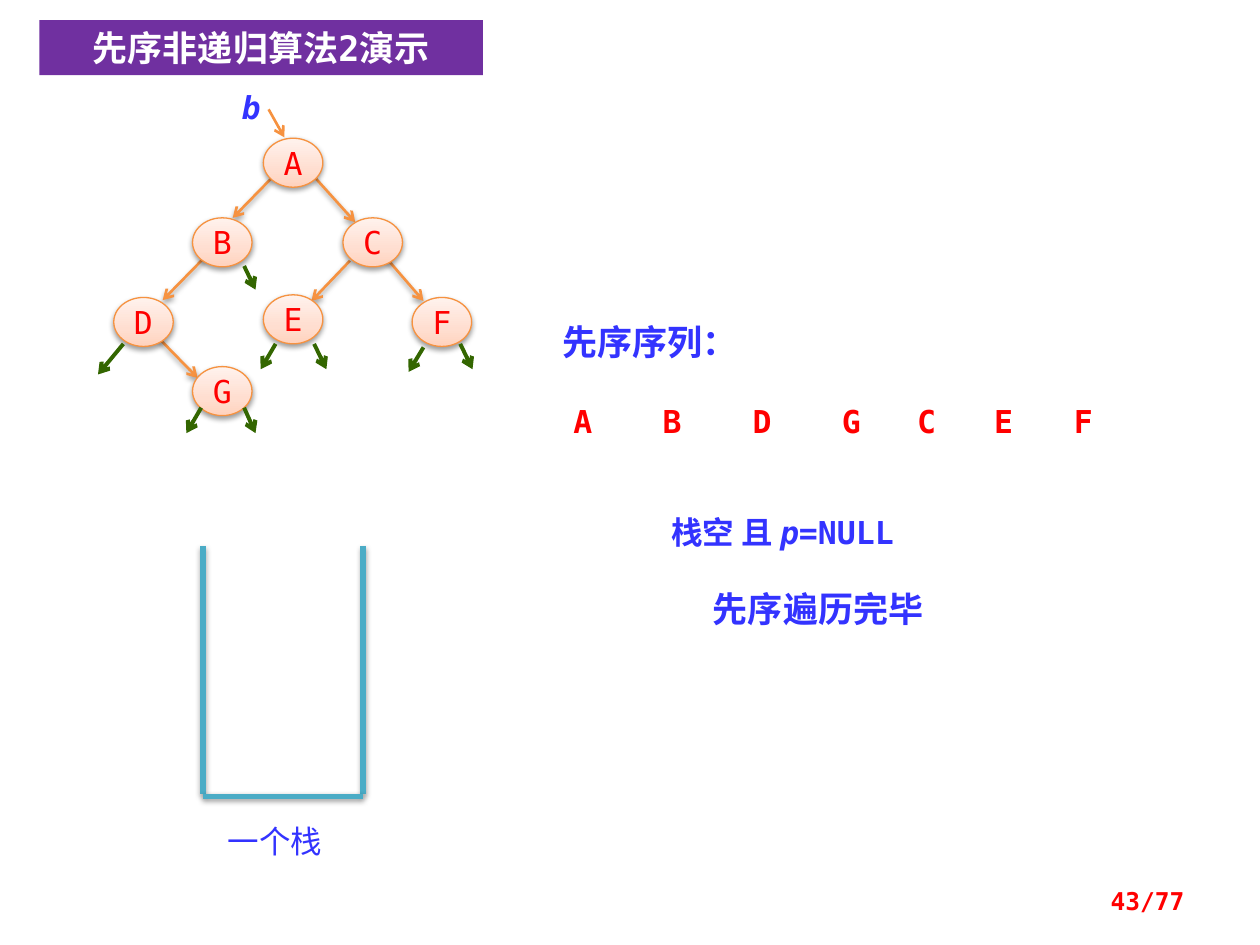
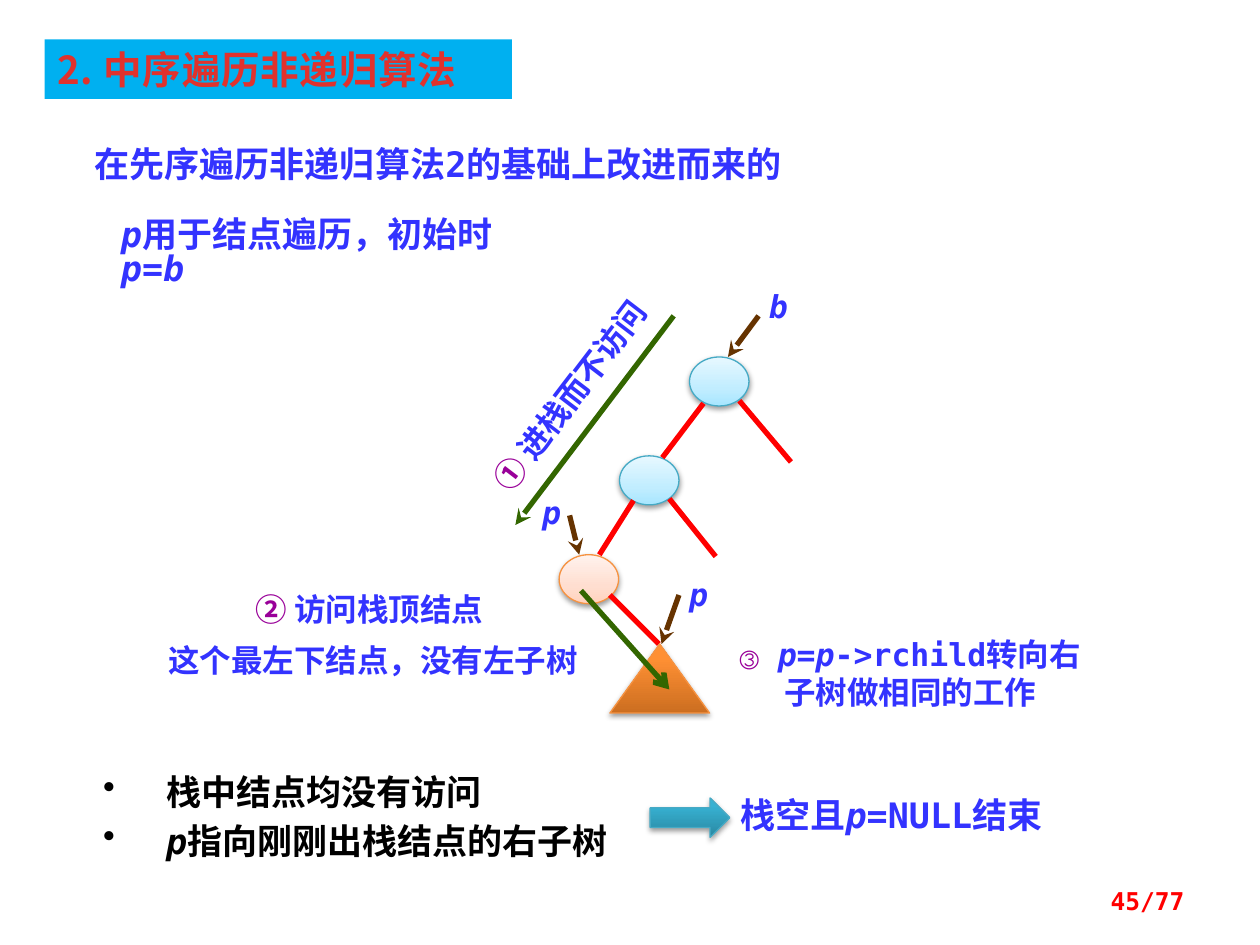
from copy import deepcopy

from lxml.etree import SubElement
from pptx import Presentation
from pptx.dml.color import RGBColor
from pptx.enum.shapes import MSO_CONNECTOR, MSO_SHAPE
from pptx.enum.text import MSO_ANCHOR, PP_ALIGN
from pptx.oxml.ns import qn
from pptx.util import Pt

COLORS = {
    "blue": "3333FF", "red": "FF0000", "purple": "990099", "black": "000000",
    "white": "FFFFFF", "orange": "F69240", "green": "336600", "brown": "663300",
    "teal": "4BACC6", "teal_edge": "46AAC5", "violet_band": "7030A0",
    "sky_band": "00B0F0", "title_red": "E0322D",
}
GRADIENTS = {
    "peach": [(0, "FFD2BD"), (0.35, "FFDED0"), (1, "FFF2ED")],
    "ice": [(0, "A7E6FF"), (0.35, "C1EDFF"), (1, "E7F8FF")],
    "amber": [(0, "CC6E20"), (0.8, "FF9034"), (1, "FF9136")],
    "lagoon": [(0, "2A88A2"), (0.8, "37B1D2"), (1, "34B4D6")],
}
MONO, CJK = "DejaVu Sans Mono", "Noto Sans CJK SC"
LEFT, CENTER, RIGHT = PP_ALIGN.LEFT, PP_ALIGN.CENTER, PP_ALIGN.RIGHT
PADDED, TIGHT = (7.2, 3.6, 7.2, 3.6), (0, 0, 0, 0)
NODE_SIZE = (34, 28)

shadowed = []
glossy = []


def write_text(shape, lines, color="blue", size=18, align=LEFT, inset=PADDED,
               bold=True, wrap=True, latin=MONO):
    # placeholder
    frame = shape.text_frame
    frame.word_wrap = wrap
    frame.margin_left, frame.margin_top, frame.margin_right, frame.margin_bottom = map(Pt, inset)
    for number, line in enumerate(lines.split("\n")):
        paragraph = frame.add_paragraph() if number else frame.paragraphs[0]
        paragraph.alignment = align
        for index, piece in enumerate(line.split("*")):
            if not piece:
                continue
            run = paragraph.add_run()
            run.text = piece
            run.font.name = latin
            run.font.size = Pt(size)
            run.font.bold = bold
            run.font.italic = index % 2 == 1
            run_color = "purple" if piece[0] in "①②③" else color
            run.font.color.rgb = RGBColor.from_string(COLORS[run_color])
            SubElement(run._r.get_or_add_rPr(), qn("a:ea"), typeface=CJK)


def add_line(slide, ends, color, width, head=None, shadow=False):
    line = slide.shapes.add_connector(MSO_CONNECTOR.STRAIGHT, *map(Pt, ends))
    line.line.color.rgb = RGBColor.from_string(COLORS[color])
    line.line.width = Pt(width)
    if head:
        SubElement(line.line._get_or_add_ln(), qn("a:tailEnd"), type=head)
    effects = SubElement(line._element.spPr, qn("a:effectLst"))
    if shadow:
        shadowed.append(effects)


presentation = Presentation()
presentation.slide_width, presentation.slide_height = Pt(720), Pt(540)
blank = presentation.slide_layouts[6]
preorder, inorder = [presentation.slides.add_slide(blank) for _ in range(2)]

for slide, box, band, title, color, size, align, latin in [
    (preorder, (22.5, 11.5, 253.5, 31.5), "violet_band", "先序非递归算法2演示", "white", 20, CENTER, MONO),
    (inorder, (25.5, 22.5, 267, 34), "sky_band", "2. 中序遍历非递归算法", "title_red", 22, LEFT, CJK),
]:
    shape = slide.shapes.add_textbox(*map(Pt, box))
    shape.fill.solid()
    shape.fill.fore_color.rgb = RGBColor.from_string(COLORS[band])
    write_text(shape, title, color, size, align, latin=latin)
    if slide is inorder:
        shape.text_frame.paragraphs[0].runs[0]._r.rPr.set("spc", "50")

for slide, number in [(preorder, "43/77"), (inorder, "45/77")]:
    shape = slide.shapes.add_textbox(Pt(516), Pt(500.5), Pt(168), Pt(28.5))
    shape.text_frame.vertical_anchor = MSO_ANCHOR.MIDDLE
    write_text(shape, number, "red", 14, RIGHT)

for ends in [
    (90.5, 193, 113, 216), (155.5, 101.5, 133, 124.5), (180, 101.5, 203, 127),
    (118, 146, 93, 171.5), (200, 149, 178, 172), (219.5, 146, 242, 172),
]:
    add_line(preorder, ends, "orange", 1.5, "arrow", shadow=True)

for name, left, top in [
    ("A", 150.5, 79), ("B", 110, 124.5), ("C", 196, 124.5), ("D", 65, 170),
    ("E", 150.5, 168.5), ("G", 110, 209.5), ("F", 235.5, 170),
]:
    node = preorder.shapes.add_shape(MSO_SHAPE.OVAL, Pt(left), Pt(top), *map(Pt, NODE_SIZE))
    node.text_frame.vertical_anchor = MSO_ANCHOR.MIDDLE
    write_text(node, name, "red", align=CENTER, bold=False, wrap=False)
    glossy.append((node, "peach", "orange"))

for ends in [(116, 312, 116, 453.5), (207.5, 312, 207.5, 453.5), (116, 455, 207.5, 455)]:
    add_line(preorder, ends, "teal", 3, shadow=True)

for ends in [
    (139.5, 233, 146, 247.5), (115, 233, 106.5, 247.5), (179.5, 196.5, 186.5, 211),
    (157.5, 196.5, 149, 211), (263, 196.5, 270, 211), (242, 198.5, 233.5, 212.5),
    (70.5, 196.5, 56, 214), (139.5, 152, 146, 165.5),
]:
    add_line(preorder, ends, "green", 2.25, "arrow")
add_line(preorder, (153.5, 62.5, 162.5, 78.5), "orange", 1.5, "arrow")

for name, left in zip("ABDGCEF", [316, 367, 418.5, 469.5, 512.5, 556.5, 602]):
    shape = preorder.shapes.add_textbox(Pt(left), Pt(229.5), Pt(34), Pt(21.5))
    write_text(shape, name, "red", align=CENTER, inset=TIGHT)

shape = preorder.shapes.add_textbox(Pt(123), Pt(466), Pt(91), Pt(29))
write_text(shape, "一个栈", bold=False, latin=CJK)

for left, top, gradient in [(394, 204, "ice"), (354, 260.5, "ice"), (319.5, 317, "peach")]:
    node = inorder.shapes.add_shape(MSO_SHAPE.OVAL, Pt(left), Pt(top), *map(Pt, NODE_SIZE))
    glossy.append((node, gradient, "teal_edge" if gradient == "ice" else "orange"))

for ends in [
    (402, 230.5, 378.5, 261.5), (362, 286, 342.5, 317), (422.5, 229, 452, 264),
    (348.5, 340, 376.5, 368), (382.5, 285, 409, 318),
]:
    add_line(inorder, ends, "red", 3)

for kind, box, gradient, edge in [
    (MSO_SHAPE.ISOSCELES_TRIANGLE, (348.5, 368, 57, 39.5), "amber", "orange"),
    (MSO_SHAPE.RIGHT_ARROW, (371.5, 456, 45.5, 22.5), "lagoon", "teal_edge"),
]:
    glossy.append((inorder.shapes.add_shape(kind, *map(Pt, box)), gradient, edge))

for ends in [(433.5, 180.5, 416, 204), (325.5, 294.5, 331, 317), (388, 340, 378, 368)]:
    add_line(inorder, ends, "brown", 3, "stealth")
add_line(inorder, (385, 180.5, 294.5, 300), "green", 3, "stealth")
add_line(inorder, (332, 337.5, 382.5, 394), "green", 3, "arrow")

for slide, box, text, size, align, inset, spacing, rotation in [
    (preorder, (129.5, 50.5, 28, 21.5), "*b*", 18, CENTER, TIGHT, None, 0),
    (preorder, (314.5, 179.5, 136, 31.5), "先序序列：", 20, LEFT, PADDED, None, 0),
    (preorder, (376.5, 289.5, 180, 29), "栈空 且 *p*=NULL", 18, LEFT, PADDED, None, 0),
    (preorder, (360, 332, 215, 31.5), "先序遍历完毕", 20, CENTER, PADDED, None, 0),
    (inorder, (47, 78, 499, 31.5), "在先序遍历非递归算法2的基础上改进而来的", 20, LEFT, PADDED, None, 0),
    (inorder, (62, 122.5, 247.5, 46), "*p*用于结点遍历，初始时*p*=*b*", 20, LEFT, PADDED, 0.8, 0),
    (inorder, (433.5, 164, 22.5, 21.5), "*b*", 18, CENTER, TIGHT, None, 0),
    (inorder, (304, 281.5, 22.5, 21.5), "*p*", 18, CENTER, TIGHT, None, 0),
    (inorder, (388, 328.5, 22.5, 21.5), "*p*", 18, CENTER, TIGHT, None, 0),
    (inorder, (245.5, 211.5, 160.5, 29), "① **进栈而不访问", 18, CENTER, PADDED, None, 307.4),
    (inorder, (146, 338.5, 140.5, 20), "② **访问栈顶结点", 18, LEFT, TIGHT, Pt(20), 0),
    (inorder, (96, 368, 242, 20), "这个最左下结点，没有左子树", 18, LEFT, TIGHT, Pt(20), 0),
    (inorder, (422, 363, 196.5, 44), "③ *p*=*p*->rchild转向右子树做相同的工作", 18, CENTER, TIGHT, None, 0),
    (inorder, (416, 450, 191.5, 31.5), "栈空且*p*=NULL结束", 20, LEFT, PADDED, None, 0),
]:
    shape = slide.shapes.add_textbox(*map(Pt, box))
    shape.rotation = rotation
    write_text(shape, text, size=size, align=align, inset=inset)
    shape.text_frame.paragraphs[0].line_spacing = spacing

summary = inorder.shapes.add_textbox(Pt(44.5), Pt(427.5), Pt(320.5), Pt(73.5))
write_text(summary, "栈中结点均没有访问\n*p*指向刚刚出栈结点的右子树", "black", 20,
           inset=(14.4, 8.64, 7.2, 8.64))
for paragraph in summary.text_frame.paragraphs:
    paragraph.line_spacing = Pt(28)
    properties = paragraph._p.get_or_add_pPr()
    properties.set("marL", str(Pt(36)))
    properties.set("indent", str(-Pt(36)))
    SubElement(properties, qn("a:buChar"), char="•")

for shape, gradient, edge in glossy:
    shape.fill.gradient()
    shape.fill.gradient_angle = 90
    stop_list = shape._element.spPr.find(".//" + qn("a:gsLst"))
    stop_list.insert(1, deepcopy(stop_list[0]))
    for stop, (position, color) in zip(shape.fill.gradient_stops, GRADIENTS[gradient]):
        stop.position = position
        stop.color.rgb = RGBColor.from_string(color)
    shape.line.color.rgb = RGBColor.from_string(COLORS[edge])
    shape.line.width = Pt(0.75)
    shape.shadow.inherit = False
    shadowed.append(shape._element.spPr.find(qn("a:effectLst")))

for effects in shadowed:
    shadow = SubElement(effects, qn("a:outerShdw"), blurRad=str(Pt(3.1)), dist=str(Pt(1.6)),
                        dir="5400000", rotWithShape="0")
    shadow_color = SubElement(shadow, qn("a:srgbClr"), val=COLORS["black"])
    SubElement(shadow_color, qn("a:alpha"), val="38000")

presentation.save("out.pptx")
